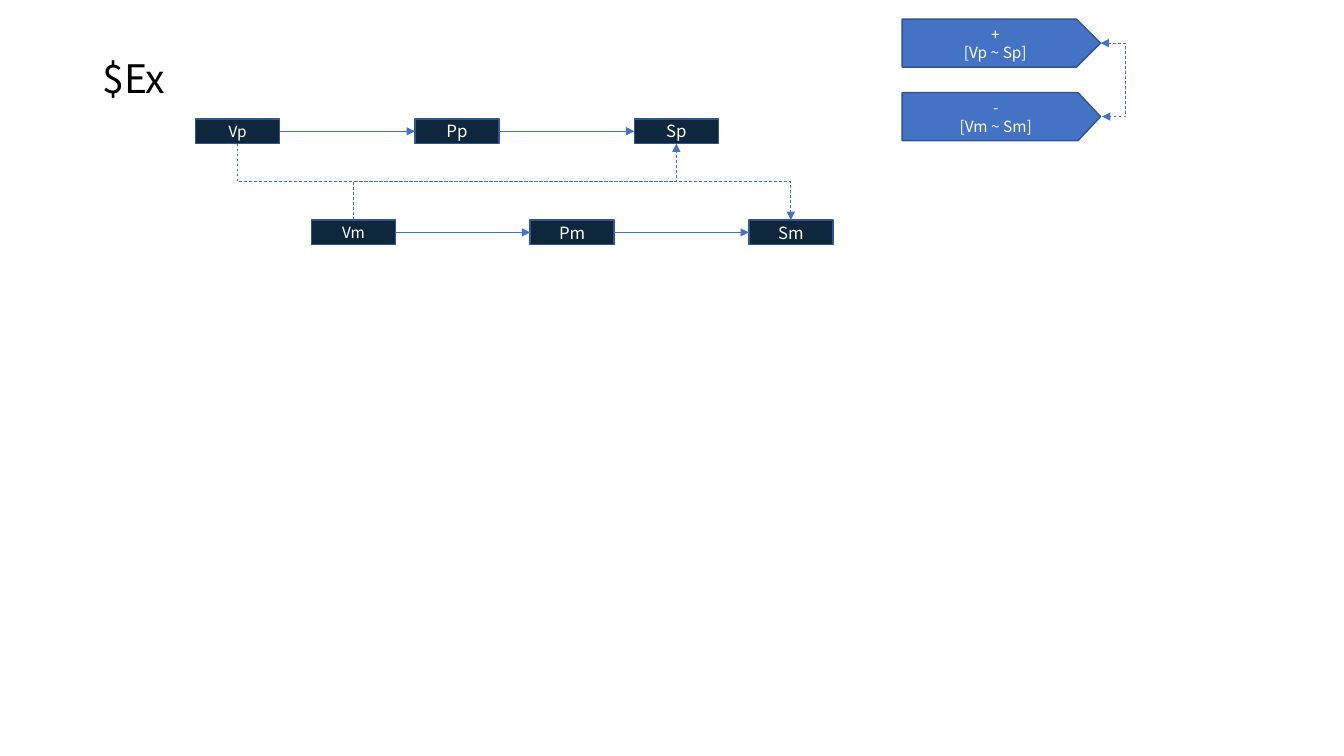
from lxml import etree
from pptx import Presentation
from pptx.dml.color import RGBColor
from pptx.enum.dml import MSO_LINE
from pptx.enum.shapes import MSO_CONNECTOR, MSO_SHAPE
from pptx.enum.text import MSO_ANCHOR, PP_ALIGN
from pptx.oxml.ns import qn
from pptx.util import Pt

# Content
TITLE = "$Ex"
ROWS = [  # left, top, step, (label, size) per box
    (139.7, 84.9, 156.7, [("Vp", 11), ("Pp", 12), ("Sp", 12)]),
    (222.5, 157.2, 156.2, [("Vm", 11), ("Pm", 12), ("Sm", 12)]),
]
TAGS = [  # top, point depth, lines
    (13.7, 0.5, ["+", "[Vp ~ Sp]"]),
    (66.2, 0.47, ["-", "[Vm ~ Sm]"]),
]

FONT = "Noto Sans CJK KR"
COLORS = {"box": "0F273D", "edge": "325491", "blue": "4472C4",
          "light": "FFFFFF", "dark": "000000"}
BOX_W, BOX_H = 60, 17.7
TAG_X, TAG_W, TAG_H = 644.4, 141.8, 34.2


def rgb(name):
    return RGBColor.from_string(COLORS[name])


def write(sp, lines, size=11, color="light", align=PP_ALIGN.CENTER, spacing=None):
    tf = sp.text_frame
    tf.word_wrap = True
    tf.vertical_anchor = MSO_ANCHOR.MIDDLE
    for i, line in enumerate(lines):
        p = tf.add_paragraph() if i else tf.paragraphs[0]
        p.alignment = align
        p.line_spacing = spacing
        r = p.add_run()
        r.text = line
        r.font.name, r.font.size = FONT, Pt(size)
        r.font.color.rgb = rgb(color)


def add_block(kind, x, y, w, h, fill, lines, size=11):
    sp = s.shapes.add_shape(kind, Pt(x), Pt(y), Pt(w), Pt(h))
    sp.shadow.inherit = False
    sp.fill.solid()
    sp.fill.fore_color.rgb = rgb(fill)
    sp.line.color.rgb = rgb("edge")
    sp.line.width = Pt(1)
    write(sp, lines, size=size)
    return sp


def add_line(kind, x1, y1, x2, y2, ends=("tailEnd",), dashed=False):
    c = s.shapes.add_connector(kind, Pt(x1), Pt(y1), Pt(x2), Pt(y2))
    c.line.color.rgb = rgb("blue")
    c.line.width = Pt(0.5)
    if dashed:
        c.line.dash_style = MSO_LINE.DASH
    for end in ends:
        etree.SubElement(c.line._get_or_add_ln(), qn("a:" + end), type="triangle")
    etree.SubElement(c._element.spPr, qn("a:effectLst"))
    return c


def add_vertical_elbow(x1, y1, x2, y2):
    """Elbow leaving and arriving vertically: a turned, mirrored connector."""
    w, h = abs(y2 - y1), x2 - x1
    left, top = (x1 + x2 - w) / 2, (y1 + y2 - h) / 2
    c = add_line(MSO_CONNECTOR.ELBOW, left, top, left + w, top + h, dashed=True)
    xfrm = c._element.spPr.find(qn("a:xfrm"))
    xfrm.set("flipH", "1")
    if y2 > y1:
        xfrm.set("rot", str(270 * 60000))
    else:
        xfrm.set("rot", str(90 * 60000))
        xfrm.set("flipV", "1")


prs = Presentation()
prs.slide_width, prs.slide_height = Pt(960), Pt(540)
s = prs.slides.add_slide(prs.slide_layouts[6])

# Title
title = s.shapes.add_textbox(Pt(66.2), Pt(5.8), Pt(545), Pt(104.4))
write(title, [TITLE], size=28, color="dark", align=PP_ALIGN.LEFT, spacing=0.9)

# Box rows, each chained by arrows
for left, top, step, boxes in ROWS:
    previous = None
    for i, (label, size) in enumerate(boxes):
        x, mid = left + i * step, top + BOX_H / 2
        box = add_block(MSO_SHAPE.RECTANGLE, x, top, BOX_W, BOX_H, "box", [label], size)
        if previous:
            arrow = add_line(MSO_CONNECTOR.STRAIGHT, x - step + BOX_W, mid, x, mid)
            arrow.begin_connect(previous, 3)
            arrow.end_connect(box, 1)
        previous = box

# Dashed links from the start of each row to the end of the other
(p_left, p_top, p_step, _), (m_left, m_top, m_step, _) = ROWS
half = BOX_W / 2
p_bottom = p_top + BOX_H
add_vertical_elbow(p_left + half, p_bottom, m_left + 2 * m_step + half, m_top)
add_vertical_elbow(m_left + half, m_top, p_left + 2 * p_step + half, p_bottom)

# Tags and the link between their points
for top, depth, lines in TAGS:
    tag = add_block(MSO_SHAPE.PENTAGON, TAG_X, top, TAG_W, TAG_H, "blue", lines)
    tag.adjustments[0] = depth
tip = TAG_X + TAG_W
y1, y2 = [top + TAG_H / 2 for top, _, _ in TAGS]
link = add_line(MSO_CONNECTOR.ELBOW, tip, y1, tip + 1, y2,
                ends=("headEnd", "tailEnd"), dashed=True)
guides = link._element.spPr.find(qn("a:prstGeom")).get_or_add_avLst()
etree.SubElement(guides, qn("a:gd"), name="adj1", fmla="val 1800000")

prs.save("out.pptx")
